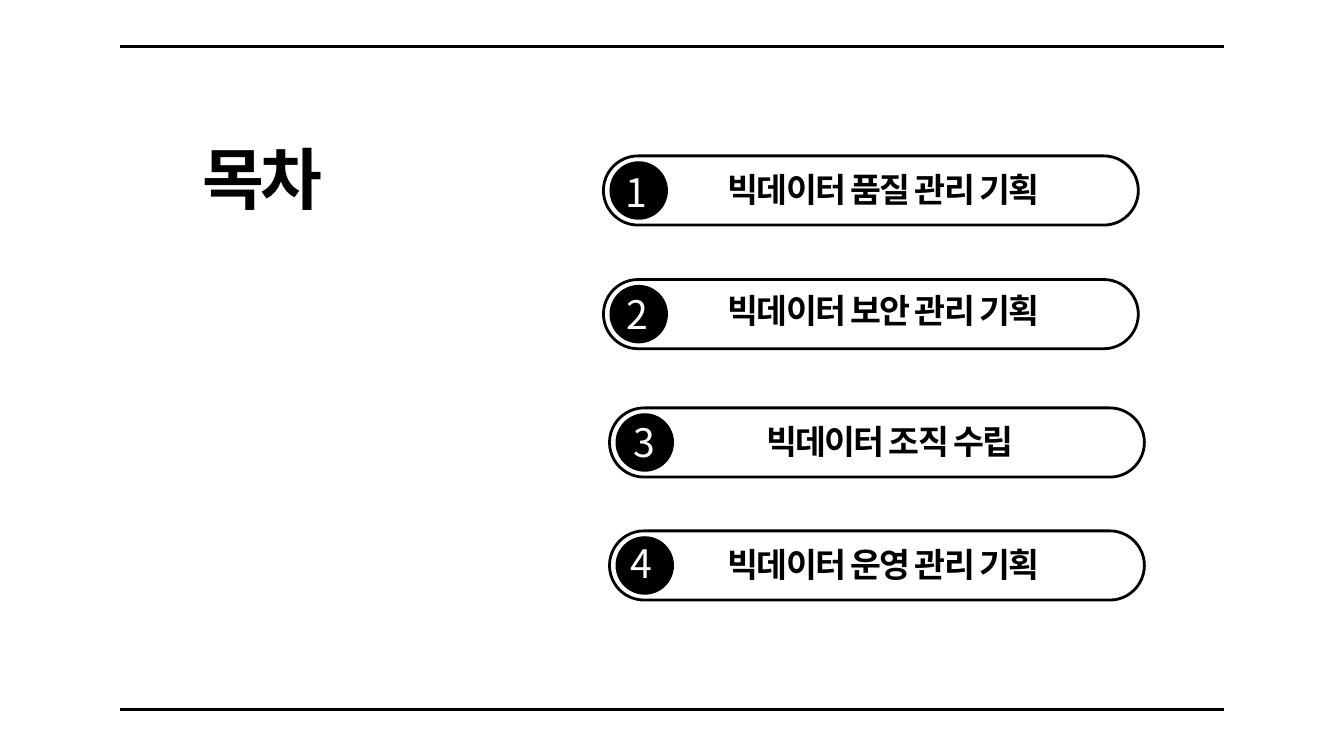
from dataclasses import dataclass

import pptx
import pptx.dml.color
import pptx.enum.shapes
import pptx.enum.text
import pptx.oxml.ns
import pptx.util
from lxml import etree

Inches = pptx.util.Inches
Pt = pptx.util.Pt
MSO_SHAPE = pptx.enum.shapes.MSO_SHAPE
PP_ALIGN = pptx.enum.text.PP_ALIGN
qn = pptx.oxml.ns.qn


@dataclass(frozen=True)
class Theme:
    black: str = "000000"
    white: str = "FFFFFF"
    font: str = "Noto Sans CJK KR"
    title_size: int = 72
    item_size: int = 36
    number_size: int = 42
    line_width: int = 3
    leading: float = 1.12
    tracking: float = -0.05


def rgb(value):
    return pptx.dml.color.RGBColor.from_string(value)


class SlideBuilder:
    def __init__(self, prs, theme):
        self.theme = theme
        self.s = prs.slides.add_slide(prs.slide_layouts[6])

    def rule(self, x1, x2, y):
        line = self.s.shapes.add_connector(
            pptx.enum.shapes.MSO_CONNECTOR.STRAIGHT,
            Inches(x1), Inches(y), Inches(x2), Inches(y))
        line.line.color.rgb = rgb(self.theme.black)
        line.line.width = Pt(self.theme.line_width)
        etree.SubElement(line._element.spPr, qn("a:effectLst"))

    def shape(self, shapes, kind, x, y, w, h, fill, outlined=False):
        sp = shapes.add_shape(kind, Inches(x), Inches(y), Inches(w), Inches(h))
        sp.shadow.inherit = False
        sp.fill.solid()
        sp.fill.fore_color.rgb = rgb(fill)
        if outlined:
            sp.line.color.rgb = rgb(self.theme.black)
            sp.line.width = Pt(self.theme.line_width)
        else:
            sp.line.fill.background()
        return sp

    def pill(self, x, y):
        """Rounded bar with a black disc at its left end."""
        shapes = self.s.shapes.add_group_shape().shapes
        bar = self.shape(shapes, MSO_SHAPE.ROUNDED_RECTANGLE, x, y, 7.96, 1.03,
                         self.theme.white, outlined=True)
        bar.adjustments[0] = 0.5
        self.shape(shapes, MSO_SHAPE.OVAL, x + 0.09, y + 0.08, 0.87, 0.87,
                   self.theme.black)

    def text(self, text, x, y, w, h, size, color, bold=False,
             align=PP_ALIGN.LEFT):
        box = self.s.shapes.add_textbox(Inches(x), Inches(y), Inches(w), Inches(h))
        tf = box.text_frame
        tf.word_wrap = True
        tf.auto_size = pptx.enum.text.MSO_AUTO_SIZE.SHAPE_TO_FIT_TEXT
        tf.margin_left = tf.margin_right = tf.margin_top = tf.margin_bottom = 0
        tf.text = text
        p = tf.paragraphs[0]
        p.alignment = align
        p.line_spacing = Pt(round(size * self.theme.leading, 1))
        r = p.runs[0]
        r.font.size = Pt(size)
        r.font.bold = bold
        r.font.name = self.theme.font
        r.font.color.rgb = rgb(color)
        props = r.font._element
        props.set("spc", str(round(size * self.theme.tracking * 100)))
        etree.SubElement(props, qn("a:ea")).set("typeface", self.theme.font)

    def number(self, text, x, y):
        self.text(text, x, y, 0.67, 0.69, self.theme.number_size,
                  self.theme.white, align=PP_ALIGN.CENTER)

    def label(self, text, x, y):
        self.text(text, x, y, 5.85, 0.58, self.theme.item_size,
                  self.theme.black, bold=True)

    def title(self, text, x, y):
        self.text(text, x, y, 5.53, 1.14, self.theme.title_size,
                  self.theme.black, bold=True)


# label, pill corner, number corner, label corner
CONTENTS = [
    ("빅데이터 품질 관리 기획", (8.98, 2.32), (9.13, 2.55), (10.83, 2.56)),
    ("빅데이터 보안 관리 기획", (8.98, 4.16), (9.15, 4.36), (10.83, 4.36)),
    ("빅데이터 조직 수립", (9.07, 6.07), (9.25, 6.27), (11.4, 6.3)),
    ("빅데이터 운영 관리 기획", (9.07, 7.9), (9.21, 8.07), (10.83, 8.14)),
]


def main():
    prs = pptx.Presentation()
    prs.slide_width = Inches(20)
    prs.slide_height = Inches(11.25)
    slide = SlideBuilder(prs, Theme())

    for y in (0.69, 10.56):
        slide.rule(1.79, 18.21, y)
    for number, (label, pill_at, number_at, label_at) in enumerate(CONTENTS, 1):
        slide.pill(*pill_at)
        slide.number(str(number), *number_at)
        slide.label(label, *label_at)
    slide.title("목차", 3.01, 2.13)

    prs.save("out.pptx")


if __name__ == "__main__":
    main()
